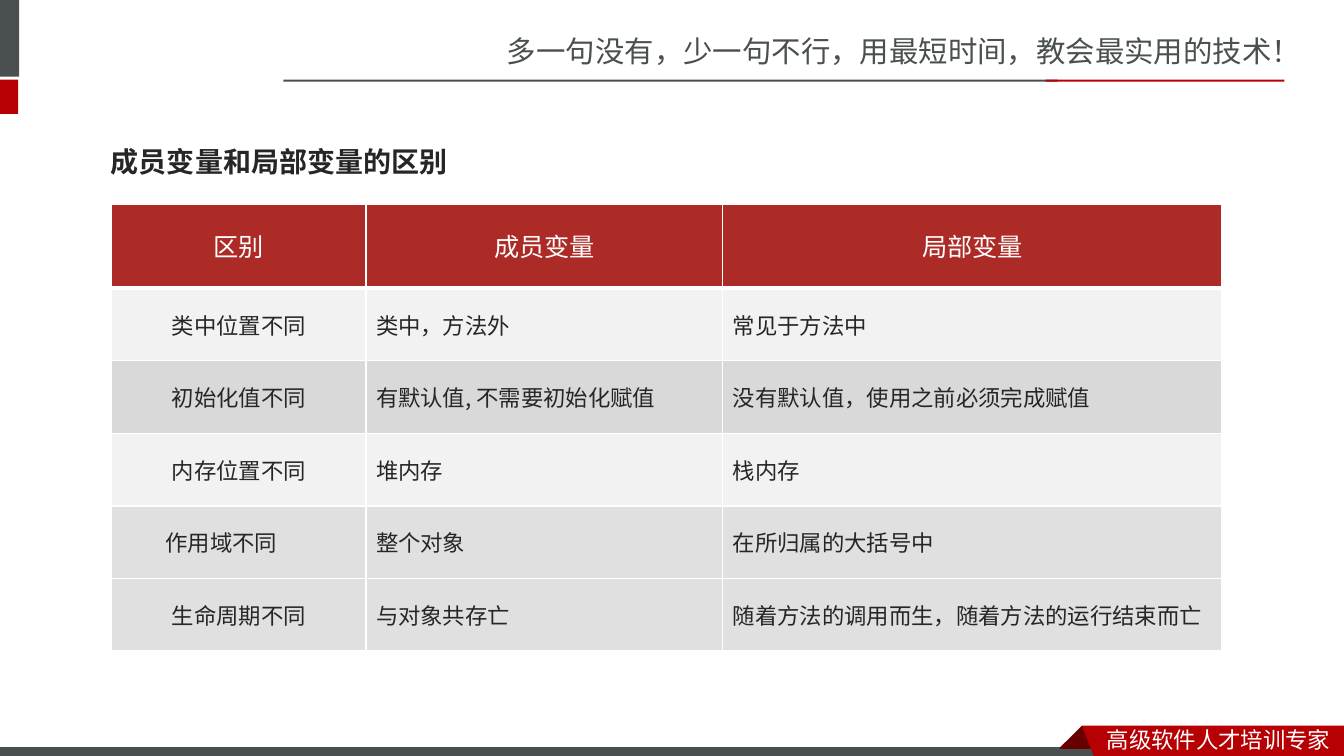
from dataclasses import dataclass

from lxml import etree
from pptx import Presentation
from pptx.dml.color import RGBColor
from pptx.enum.shapes import MSO_SHAPE
from pptx.enum.text import MSO_ANCHOR, PP_ALIGN
from pptx.oxml.ns import qn
from pptx.util import Inches, Pt

RECT = MSO_SHAPE.RECTANGLE
MIDDLE = MSO_ANCHOR.MIDDLE
LEFT, CENTER = PP_ALIGN.LEFT, PP_ALIGN.CENTER


@dataclass(frozen=True)
class Theme:
    gray: str = "49504F"
    red: str = "B60004"
    fold: str = "680000"
    head: str = "AD2B26"
    light: str = "F2F2F2"
    dark: str = "D9D9D9"
    ink: str = "262626"
    white: str = "FFFFFF"
    sans: str = "Noto Sans CJK SC"
    mono: str = "Noto Sans Mono"
    grid: str = "Noto Sans CJK JP"
    motto: int = 21
    title: int = 20
    label: int = 18
    body: int = 16


theme = Theme()


def write(par, text, size, face, color, bold=False):
    """Add one run, with its face set for Latin and East Asian text."""
    run = par.add_run()
    run.text = text
    font = run.font
    font.size, font.name, font.bold = Pt(size), face, bold
    font.color.rgb = RGBColor.from_string(color)
    etree.SubElement(font._element, qn("a:ea"), typeface=face)


def paint(shape, color):
    """Give a shape a plain fill with no line and no shadow."""
    shape.shadow.inherit = False
    shape.fill.solid()
    shape.fill.fore_color.rgb = RGBColor.from_string(color)
    shape.line.fill.background()


deck = Presentation()
deck.slide_width, deck.slide_height = Inches(13.33), Inches(7.5)
slide = deck.slides.add_slide(deck.slide_layouts[5])
shapes = slide.shapes

# Corner blocks, header rule and footer bar
bars = [
    (-0.06, 0, 0.25, 0.76, theme.gray),
    (-0.06, 0.79, 0.24, 0.34, theme.red),
    (2.81, 0.79, 7.68, 0.02, theme.gray),
    (10.37, 0.79, 2.37, 0.02, theme.red),
    (-0.01, 7.41, 11, 0.12, theme.gray),
]
for *box, color in bars:
    bar = shapes.add_shape(RECT, *map(Inches, box))
    paint(bar, color)
bar.line.color.rgb = RGBColor.from_string(theme.white)
bar.line.width = Pt(0.75)

# Footer ribbon: the fold, then the band over it
ribbon = [
    (theme.fold, [(10.73, 7.2), (10.95, 7.42), (10.94, 7.43), (10.52, 7.43), (10.51, 7.42)]),
    (theme.red, [(10.73, 7.2), (13.33, 7.2), (13.33, 7.54), (10.86, 7.53)]),
]
for color, points in ribbon:
    start, *rest = [(Inches(x), Inches(y)) for x, y in points]
    path = shapes.build_freeform(*start)
    path.add_line_segments(rest, close=True)
    paint(path.convert_to_shape(), color)

# Motto and ribbon text
notes = [
    (4.93, 0.28, 8.41, 0.47, "多一句没有，少一句不行，用最短时间，教会最实用的技术！", theme.motto, theme.gray),
    (10.88, 7.15, 2.45, 0.37, "高级软件人才培训专家", theme.body, theme.white),
]
for *box, text, size, color in notes:
    frame = shapes.add_textbox(*map(Inches, box)).text_frame
    frame.word_wrap = True
    write(frame.paragraphs[0], text, size, theme.sans, color)

title = shapes.title
title.left, title.top = Inches(1), Inches(1.32)
title.width, title.height = Inches(3.68), Inches(0.57)
title.text_frame.vertical_anchor = MIDDLE
par = title.text_frame.paragraphs[0]
par.alignment = LEFT
write(par, "成员变量和局部变量的区别", theme.title, theme.mono, theme.ink, bold=True)

# Comparison table: fill, opacity in percent, texts
rows = [
    (theme.head, 100, ["区别", "成员变量", "局部变量"]),
    (theme.light, 100, ["类中位置不同", "类中，方法外", "常见于方法中"]),
    (theme.dark, 100, ["初始化值不同", "有默认值, 不需要初始化赋值", "没有默认值，使用之前必须完成赋值"]),
    (theme.light, 100, ["内存位置不同", "堆内存", "栈内存"]),
    (theme.dark, 80, ["作用域不同", "整个对象", "在所归属的大括号中"]),
    (theme.dark, 80, ["生命周期不同", "与对象共存亡", "随着方法的调用而生，随着方法的运行结束而亡"]),
]
widths = [2.52, 3.54, 4.95]
area = map(Inches, (1.11, 2.03, 11.01, 4.43))
table = shapes.add_table(len(rows), len(widths), *area).table
for col, width in zip(table.columns, widths):
    col.width = Inches(width)
for r, (color, alpha, texts) in enumerate(rows):
    table.rows[r].height = Inches(0.72 if r else 0.83)
    for c, text in enumerate(texts):
        cell = table.cell(r, c)
        cell.vertical_anchor = MIDDLE
        props = cell._tc.get_or_add_tcPr()
        edges = {"L": 1, "R": 1, "T": 3 if r == 1 else 1, "B": 1 if r else 3}
        for side, weight in edges.items():
            edge = etree.SubElement(props, qn(f"a:ln{side}"), w=str(Pt(weight)))
            fill = etree.SubElement(edge, qn("a:solidFill"))
            etree.SubElement(fill, qn("a:srgbClr"), val=theme.white)
        cell.fill.solid()
        cell.fill.fore_color.rgb = RGBColor.from_string(color)
        if alpha < 100:
            tint = props.find(qn("a:solidFill")).find(qn("a:srgbClr"))
            etree.SubElement(tint, qn("a:alpha"), val=str(alpha * 1000))
        par = cell.text_frame.paragraphs[0]
        par.alignment = LEFT if r and c else CENTER
        if r:
            write(par, text, theme.body, theme.grid, theme.ink)
        else:
            par.line_spacing = Pt(24)
            write(par, text, theme.label, theme.grid, theme.white)

# The scope label sits left of its column's centre
table.cell(4, 0).margin_right = Inches(0.45)

deck.save("out.pptx")
